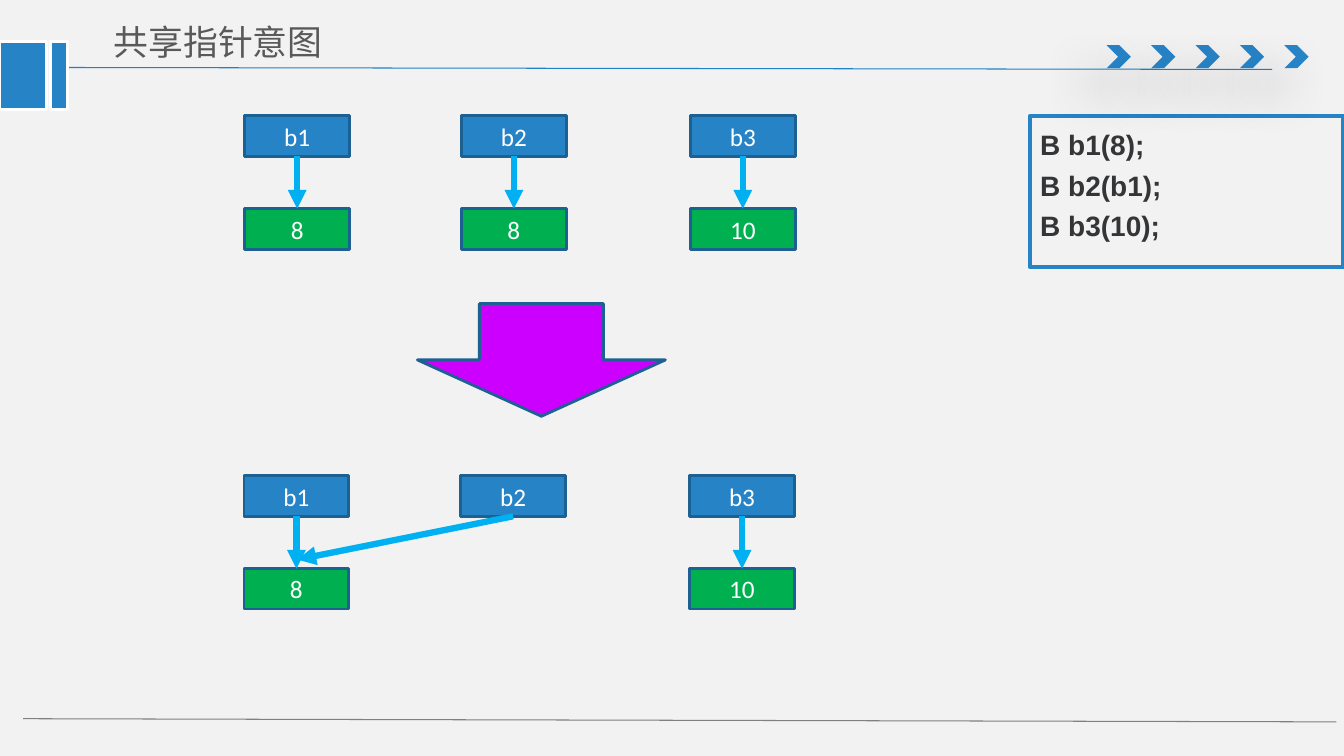
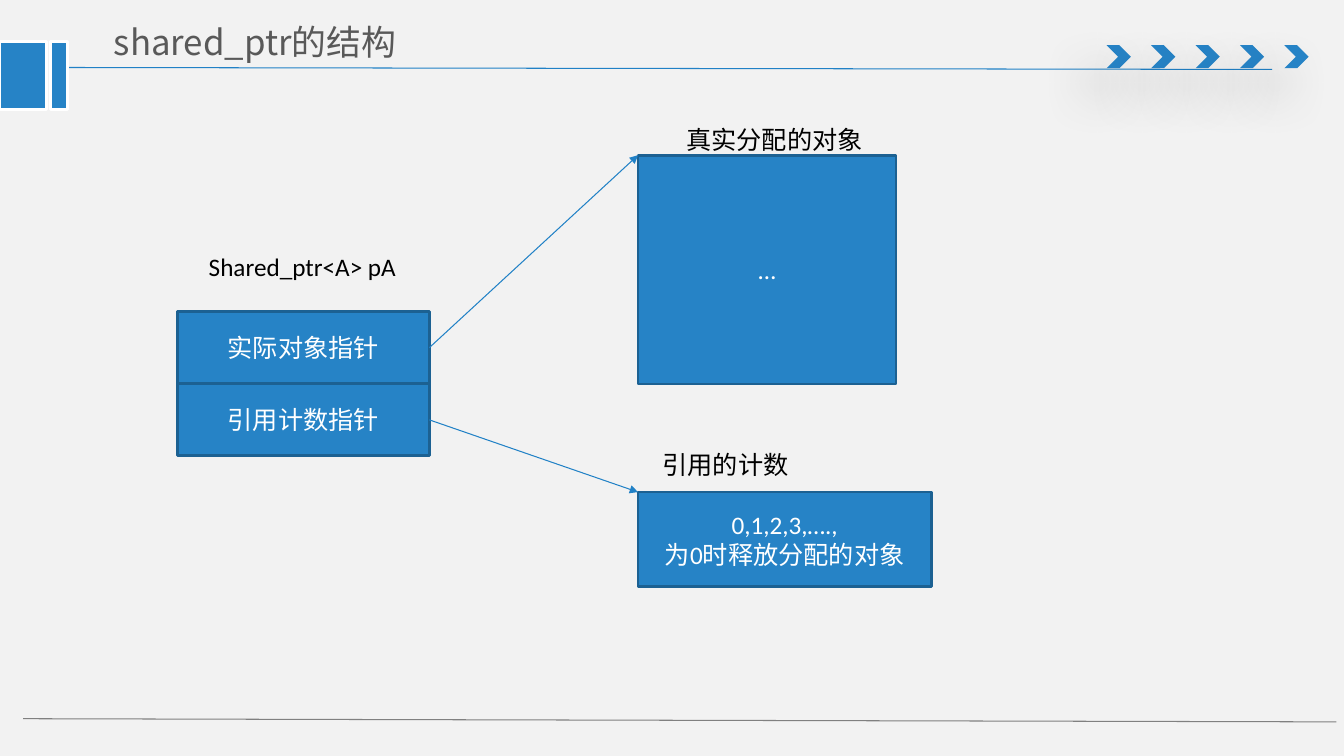
from dataclasses import dataclass

import pptx
import pptx.dml.color
import pptx.enum.shapes
import pptx.enum.text
import pptx.oxml.ns
import pptx.oxml.xmlchemy
import pptx.shapes.autoshape
import pptx.shapes.connector
import pptx.slide
import pptx.text.text
import pptx.util

Cm = pptx.util.Cm
Pt = pptx.util.Pt
RGBColor = pptx.dml.color.RGBColor
Shape = pptx.shapes.autoshape.Shape
Connector = pptx.shapes.connector.Connector
Slide = pptx.slide.Slide
SHAPES = pptx.enum.shapes.MSO_SHAPE
ALIGN = pptx.enum.text.PP_ALIGN
ANCHOR = pptx.enum.text.MSO_ANCHOR
AUTO_SIZE = pptx.enum.text.MSO_AUTO_SIZE
qn = pptx.oxml.ns.qn
new_element = pptx.oxml.xmlchemy.OxmlElement

PAPER = RGBColor(0xF2, 0xF2, 0xF2)
BLUE = RGBColor(0x26, 0x83, 0xC6)
LINE_BLUE = RGBColor(0x21, 0x81, 0xC6)
DARK_BLUE = RGBColor(0x1C, 0x61, 0x92)
SKY = RGBColor(0x00, 0xB0, 0xF0)
GREEN = RGBColor(0x00, 0xB0, 0x50)
PURPLE = RGBColor(0xCC, 0x00, 0xFF)
GRAY = RGBColor(0x80, 0x80, 0x80)
TITLE_GRAY = RGBColor(0x59, 0x59, 0x59)
CODE_GRAY = RGBColor(0x34, 0x35, 0x37)
WHITE = RGBColor(0xFF, 0xFF, 0xFF)
BLACK = RGBColor(0, 0, 0)

CJK_FONT = "Noto Sans CJK SC"
LATIN_FONT = "Calibri"
CODE_FONT = "Arial"

TOP, BOTTOM, RIGHT = 0, 2, 3  # connection sites of a rectangle
TITLE_ONLY, TITLE_AND_BODY = 5, 1  # layouts of the template


@dataclass(frozen=True)
class Area:
    """A rectangle in centimetres."""
    left: float
    top: float
    width: float
    height: float

    def lengths(self) -> tuple:
        return Cm(self.left), Cm(self.top), Cm(self.width), Cm(self.height)


@dataclass(frozen=True)
class Label:
    text: str
    area: Area


@dataclass(frozen=True)
class Variable:
    """A named pointer; value is None when it owns no object."""
    name: str
    value: str | None
    left: float


NODE_WIDTH, NODE_HEIGHT, NODE_PITCH = 2.64, 1.02, 2.34
UNSHARED = (Variable("b1", "8", 6.17), Variable("b2", "8", 11.63),
            Variable("b3", "10", 17.4))
SHARED = (Variable("b1", "8", 6.15), Variable("b2", None, 11.61),
          Variable("b3", "10", 17.38))

FIELD_HEIGHT = 1.82
FIELDS = tuple(
    Label(text, Area(4.47, 7.85 + row * FIELD_HEIGHT, 6.35, FIELD_HEIGHT))
    for row, text in enumerate(("实际对象指针", "引用计数指针")))
TARGETS = (Label("…", Area(16.08, 3.91, 6.5, 5.77)),
           Label("0,1,2,3,….,\n为0时释放分配的对象", Area(16.08, 12.4, 7.39, 2.39)))
CAPTIONS = (Label("Shared_ptr<A> pA", Area(4.98, 6.2, 5.28, 1.02)),
            Label("引用的计数", Area(16.43, 11.2, 3.71, 1.02)),
            Label("真实分配的对象", Area(17.02, 3.0, 5.0, 1.02)))


def write(frame: pptx.text.text.TextFrame, text: str, *, size: float = 18,
          color: RGBColor = WHITE, font: str = LATIN_FONT, bold: bool = False,
          align: ALIGN = ALIGN.CENTER, gap: float = 0) -> None:
    """Fill the frame, one paragraph a line, with gap points between them."""
    for index, line in enumerate(text.split("\n")):
        para = frame.paragraphs[0] if index == 0 else frame.add_paragraph()
        properties = para._p.get_or_add_pPr()
        properties.set("marL", "0")
        properties.set("indent", "0")
        properties.append(new_element("a:buNone"))
        para.alignment = align
        para.space_before = Pt(gap if index else 0)
        span = para.add_run()
        span.text = line
        span.font.size = Pt(size)
        span.font.bold = bold
        span.font.color.rgb = color
        span.font.name = font
        east_asian = new_element("a:ea")
        east_asian.set("typeface", CJK_FONT)
        span._r.get_or_add_rPr().append(east_asian)


def add_box(page: Slide, area: Area, *, text: str = "", fill: RGBColor = BLUE,
            line: RGBColor | None = DARK_BLUE,
            kind: SHAPES = SHAPES.RECTANGLE) -> Shape:
    box = page.shapes.add_shape(kind, *area.lengths())
    box.shadow.inherit = False
    box.fill.solid()
    box.fill.fore_color.rgb = fill
    if line is None:
        box.line.fill.background()
    else:
        box.line.color.rgb = line
        box.line.width = Pt(2)
    if text:
        box.text_frame.word_wrap = True
        box.text_frame.vertical_anchor = ANCHOR.MIDDLE
        write(box.text_frame, text)
    return box


def add_line(page: Slide, start: tuple[float, float], end: tuple[float, float],
             *, color: RGBColor = LINE_BLUE, width: float = 0.75,
             arrow: bool = False) -> Connector:
    line = page.shapes.add_connector(
        pptx.enum.shapes.MSO_CONNECTOR.STRAIGHT,
        *(Cm(length) for length in (*start, *end)))
    line.line.color.rgb = color
    line.line.width = Pt(width)
    properties = line._element.spPr
    if arrow:
        head = new_element("a:tailEnd")
        head.set("type", "triangle")
        properties.find(qn("a:ln")).append(head)
    properties.append(new_element("a:effectLst"))
    return line


def add_soft_shadow(box: Shape) -> None:
    shadow = new_element("a:outerShdw")
    for name, value in (("blurRad", Pt(36)), ("dist", Pt(24)),
                        ("dir", 130 * 60000), ("rotWithShape", 0)):
        shadow.set(name, str(int(value)))
    color = new_element("a:srgbClr")
    color.set("val", str(BLACK))
    alpha = new_element("a:alpha")
    alpha.set("val", "38000")
    color.append(alpha)
    shadow.append(color)
    box._element.spPr.find(qn("a:effectLst")).append(shadow)


def place(box: Shape, area: Area) -> None:
    box.left, box.top, box.width, box.height = area.lengths()


def add_page(deck, title: str, layout: int) -> Slide:
    """Add a slide with the shared header, footer line and title."""
    page = deck.slides.add_slide(deck.slide_layouts[layout])
    add_line(page, (1.35, 1.7), (32.06, 1.75))
    for index in range(5):
        chevron = add_box(page, Area(27.89 + index * 1.12, 1.14, 0.61, 0.58),
                          line=None, kind=SHAPES.CHEVRON)
        add_soft_shadow(chevron)
    add_line(page, (0.58, 18.11), (33.68, 18.19), color=GRAY)
    for left, width in ((0, 1.17), (1.27, 0.43)):
        add_box(page, Area(left, 1.04, width, 1.73), line=WHITE)

    place(page.shapes.title, Area(2.51, 0.36, 11.76, 1.4))
    frame = page.shapes.title.text_frame
    frame.auto_size = AUTO_SIZE.NONE
    frame.vertical_anchor = ANCHOR.MIDDLE
    frame.margin_left = frame.margin_right = Cm(0.36)
    frame.margin_top = frame.margin_bottom = Cm(0.18)
    write(frame, title, size=24.9, color=TITLE_GRAY, font=CJK_FONT,
          align=ALIGN.LEFT)
    return page


def add_variables(page: Slide, variables: tuple[Variable, ...],
                  top: float) -> list[Shape]:
    """Draw a row of variables, each above the object it owns."""
    names = []
    for variable in variables:
        name = add_box(page, Area(variable.left, top, NODE_WIDTH, NODE_HEIGHT),
                       text=variable.name)
        names.append(name)
        if variable.value is None:
            continue
        value = add_box(page, Area(variable.left, top + NODE_PITCH,
                                   NODE_WIDTH, NODE_HEIGHT),
                        text=variable.value, fill=GREEN)
        arrow = add_line(page, (0, 0), (1, 1), color=SKY, width=4.5, arrow=True)
        arrow.begin_connect(name, BOTTOM)
        arrow.end_connect(value, TOP)
    return names


def add_sharing_page(deck) -> None:
    page = add_page(deck, "共享指针意图", TITLE_AND_BODY)
    code = page.placeholders[1]
    place(code, Area(25.96, 2.92, 7.9, 3.81))
    code.line.color.rgb = BLUE
    code.line.width = Pt(3)
    code.text_frame.auto_size = AUTO_SIZE.NONE
    code.text_frame.margin_top = Cm(0.29)
    write(code.text_frame, "B b1(8);\nB b2(b1);\nB b3(10);", size=20,
          color=CODE_GRAY, font=CODE_FONT, bold=True, align=ALIGN.LEFT, gap=5)

    add_variables(page, UNSHARED, 2.92)
    names = add_variables(page, SHARED, 11.99)
    shared_arrow = add_line(page, (12.93, 13.01), (7.49, 14.1), color=SKY,
                            width=4.5, arrow=True)
    shared_arrow.begin_connect(names[1], BOTTOM)
    add_box(page, Area(10.52, 7.65, 6.25, 2.84), fill=PURPLE,
            kind=SHAPES.DOWN_ARROW)


def add_structure_page(deck) -> None:
    page = add_page(deck, "shared_ptr的结构", TITLE_ONLY)
    for field, target in zip(FIELDS, TARGETS):
        field_box = add_box(page, field.area, text=field.text)
        add_box(page, target.area, text=target.text)
        arrow = add_line(page, (0, 0), (target.area.left, target.area.top),
                         arrow=True)
        arrow.begin_connect(field_box, RIGHT)
    for caption in CAPTIONS:
        frame = page.shapes.add_textbox(*caption.area.lengths()).text_frame
        frame.word_wrap = False
        frame.auto_size = AUTO_SIZE.SHAPE_TO_FIT_TEXT
        write(frame, caption.text, color=BLACK)


def main() -> None:
    deck = pptx.Presentation()
    deck.slide_width, deck.slide_height = Cm(33.87), Cm(19.05)
    background = deck.slide_master.background.fill
    background.solid()
    background.fore_color.rgb = PAPER
    add_sharing_page(deck)
    add_structure_page(deck)
    deck.save("out.pptx")


if __name__ == "__main__":
    main()
